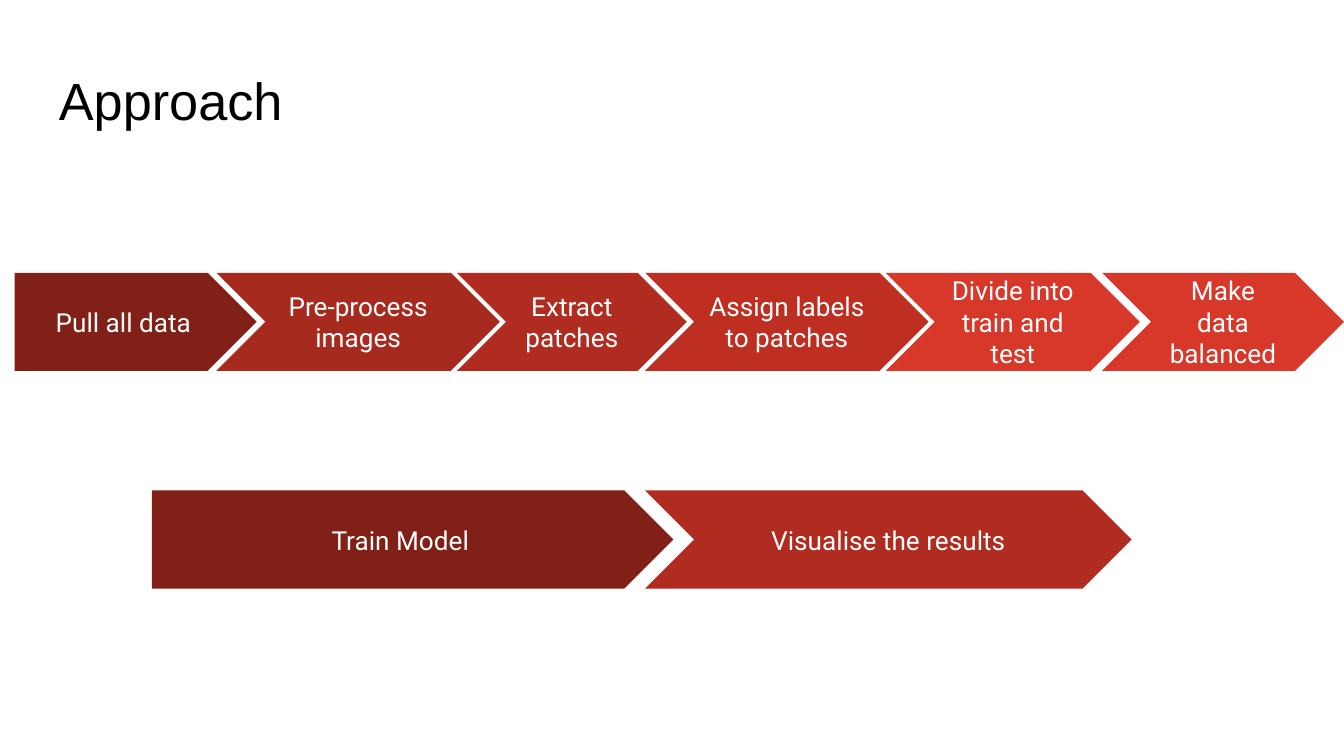
"""Build the Approach slide: two rows of process arrows."""
from pptx import Presentation
from pptx.dml.color import RGBColor
from pptx.enum.shapes import MSO_SHAPE
from pptx.enum.text import MSO_ANCHOR, PP_ALIGN
from pptx.util import Inches, Pt

COLORS = {
    "black": "000000",
    "white": "FFFFFF",
    "maroon": "802017",
    "brick": "A72A1E",
    "crimson": "B02C20",
    "red": "BE2F22",
    "scarlet": "D83829",
}
FIRST_ROW, SECOND_ROW = 2.03, 3.65
ARROW_HEIGHT = 0.73
STEPS = [
    ("Pull all data", 0.11, FIRST_ROW, 1.8, "maroon"),
    ("Pre-process images", 1.61, FIRST_ROW, 2.11, "brick"),
    ("Extract patches", 3.4, FIRST_ROW, 1.71, "crimson"),
    ("Assign labels to patches", 4.8, FIRST_ROW, 2.11, "red"),
    ("Divide into train and test", 6.59, FIRST_ROW, 1.89, "scarlet"),
    ("Make data balanced", 8.2, FIRST_ROW, 1.8, "scarlet"),
    ("Train Model", 1.13, SECOND_ROW, 3.88, "maroon"),
    ("Visualise the results", 4.8, SECOND_ROW, 3.62, "crimson"),
]


def write_text(shape, text, font_name, size, color, alignment, anchor):
    frame = shape.text_frame
    frame.word_wrap = True
    frame.vertical_anchor = anchor
    frame.margin_left = frame.margin_right = Inches(0.1)
    frame.margin_top = frame.margin_bottom = Inches(0.1)
    paragraph = frame.paragraphs[0]
    paragraph.text = text
    paragraph.alignment = alignment
    paragraph.font.name = font_name
    paragraph.font.size = Pt(size)
    paragraph.font.color.rgb = RGBColor.from_string(COLORS[color])


deck = Presentation()
deck.slide_width = Inches(10)
deck.slide_height = Inches(10) * 9 // 16
page = deck.slides.add_slide(deck.slide_layouts[6])

title = page.shapes.add_textbox(Inches(0.34), Inches(0.41), Inches(9.32), Inches(0.63))
write_text(title, "Approach", "Arial", 28, "black", PP_ALIGN.LEFT, MSO_ANCHOR.TOP)

for label, left, top, width, color in STEPS:
    starts_row = color == "maroon"
    outline = MSO_SHAPE.PENTAGON if starts_row else MSO_SHAPE.CHEVRON
    arrow = page.shapes.add_shape(
        outline, Inches(left), Inches(top), Inches(width), Inches(ARROW_HEIGHT)
    )
    arrow.shadow.inherit = False
    arrow.fill.solid()
    arrow.fill.fore_color.rgb = RGBColor.from_string(COLORS[color])
    arrow.line.fill.background()
    write_text(arrow, label, "Roboto", 14, "white", PP_ALIGN.CENTER, MSO_ANCHOR.MIDDLE)

deck.save("out.pptx")
